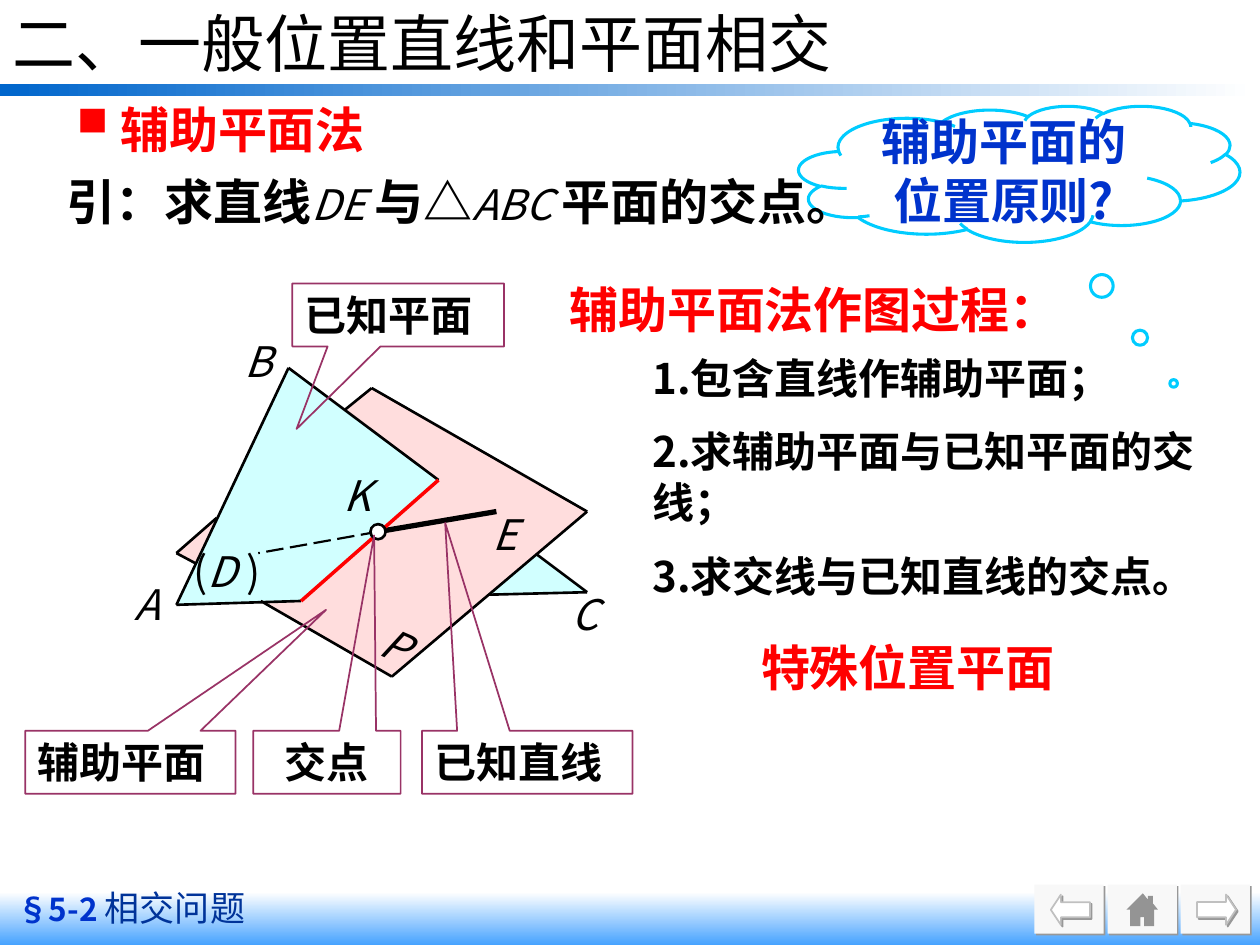
from lxml import etree
from pptx import Presentation
from pptx.dml.color import RGBColor
from pptx.enum.dml import MSO_LINE
from pptx.enum.shapes import MSO_CONNECTOR, MSO_SHAPE
from pptx.enum.text import MSO_ANCHOR, PP_ALIGN
from pptx.oxml.ns import qn
from pptx.util import Inches, Pt

LEFT, CENTER = PP_ALIGN.LEFT, PP_ALIGN.CENTER
TOP, MIDDLE = MSO_ANCHOR.TOP, MSO_ANCHOR.MIDDLE
RECT, OVAL, ARROW = MSO_SHAPE.RECTANGLE, MSO_SHAPE.OVAL, MSO_SHAPE.RIGHT_ARROW
CALLOUT, CLOUD = MSO_SHAPE.RECTANGULAR_CALLOUT, MSO_SHAPE.CLOUD_CALLOUT
STRAIGHT, LONG_DASH = MSO_CONNECTOR.STRAIGHT, MSO_LINE.LONG_DASH

THEME = {
    "black": "000000", "white": "FFFFFF", "red": "FF0000", "blue": "0033CC",
    "navy": "003399", "bar": "0066CC", "sky": "47A3FF", "cyan": "00CCFF",
    "plum": "993366", "plane_abc": "D1FFFF", "plane_p": "FFDDDD",
    "button": "F8F8F8", "edge": "C0C0C0", "shade": "989898", "house": "949494",
    "sans": "Noto Sans CJK SC", "italic": "Noto Sans CJK JP",
    "plain": "Roboto", "serif": "Times New Roman",
    "title": 36, "head": 28, "body": 24, "section": 20, "number": 18,
    "line_height": 1.2,
}

# Runs: text, font, size, colour, style (b bold, i italic)
TITLE = [("二、一般位置直线和平面相交", "plain", "title", "black", "")]
FOOTER = [("§5-2 ", "sans", "number", "blue", "b"),
          ("相交问题", "sans", "section", "navy", "")]
METHOD = [("辅助平面法", "sans", "head", "red", "b")]
PROBLEM = [("引：求", "sans", "head", "black", "b"),
           ("直线", "plain", "head", "black", "b"),
           ("DE ", "italic", "body", "black", "i"),
           ("与△", "plain", "head", "black", "b"),
           ("ABC ", "italic", "body", "black", "i"),
           ("平面的交点", "plain", "head", "black", "b"),
           ("。", "sans", "head", "black", "b")]
PROCESS = [("辅助平面法作图过程：", "sans", "head", "red", "b")]
ANSWER = [("特殊位置平面", "sans", "head", "red", "b")]
QUESTION = [("辅助平面的位置原则?", "sans", "head", "blue", "b")]
POINT_D = [("(", "sans", "body", "black", ""), ("D ", "italic", "body", "black", "i"),
           (")", "sans", "body", "black", "")]
STEPS = [(2.75, 0.5, "1.包含直线作辅助平面；"),
         (3.33, 0.9, "2.求辅助平面与已知平面的交线；"),
         (4.32, 0.5, "3.求交线与已知直线的交点。")]
# Callouts: text, left, top, width, pointer, alignment
CALLOUTS = [("已知平面", 2.32, 2.25, 1.68, (-0.48, 1.81), LEFT),
            ("已知直线", 3.35, 5.8, 1.67, (-0.39, -3.8), LEFT),
            ("辅助平面", 0.2, 5.8, 1.67, (0.93, -2.42), LEFT),
            ("交点", 2.01, 5.8, 1.17, (0.32, -3.6), CENTER)]
# Point names: text, left, top, width, rotation
NAMES = [("K", 2.63, 3.68, 0.55, 0), ("A", 0.97, 4.54, 0.47, 0),
         ("C", 4.44, 4.62, 0.55, 0), ("B", 1.84, 2.61, 0.55, 0),
         ("P", 2.94, 4.86, 0.39, 23.6), ("E", 3.81, 3.99, 0.55, 0)]

# Corners of the two planes and where their edges meet
A, B, C = (1.4, 4.8), (2.29, 2.92), (4.66, 4.7)
D, E, K = (2.05, 4.39), (3.94, 4.06), (3, 4.22)
P_TOP, P_RIGHT, P_BOTTOM, P_LEFT = (2.95, 3.08), (4.66, 4.06), (3.11, 5.37), (1.4, 4.39)
CUT_AC, CUT_BC = (2.39, 4.77), (3.48, 3.81)
P_ON_BC, P_ON_AC = (2.74, 3.25), (2.07, 4.77)
P_BACK, P_FRONT = (1.72, 4.11), (1.55, 4.47)
C_LOW, C_HIGH = (3.88, 4.72), (4.26, 4.4)
PLANES = [("plane_abc", [A, B, C]),
          ("plane_p", [P_TOP, P_RIGHT, P_BOTTOM, P_ON_AC, CUT_AC, CUT_BC, P_ON_BC]),
          ("plane_p", [P_BACK, P_LEFT, P_FRONT])]
EDGES = [(A, B), (A, CUT_AC), (B, CUT_BC), (P_TOP, P_ON_BC), (P_LEFT, P_FRONT),
         (P_TOP, P_RIGHT), (P_RIGHT, P_BOTTOM), (C_LOW, C), (C_HIGH, C),
         (P_ON_AC, P_BOTTOM), (P_BACK, P_LEFT)]
HOUSE = [(9.07, 7.09), (9.11, 7.14), (9.11, 7.11), (9.15, 7.11), (9.15, 7.17),
         (9.19, 7.22), (9.16, 7.22), (9.16, 7.35), (9.08, 7.35), (9.08, 7.28),
         (9.05, 7.28), (9.05, 7.35), (8.97, 7.35), (8.97, 7.22), (8.94, 7.22)]

deck = Presentation()
deck.slide_width, deck.slide_height = Inches(10), Inches(7.5)
page = deck.slides.add_slide(deck.slide_layouts[6])


def color(name):
    return RGBColor.from_string(THEME[name])


def paint(shape, fill=None, line=None, width=1):
    shape.shadow.inherit = False
    if fill:
        shape.fill.solid()
        shape.fill.fore_color.rgb = color(fill)
    else:
        shape.fill.background()
    if line:
        shape.line.color.rgb = color(line)
        shape.line.width = Pt(width)
    else:
        shape.line.fill.background()
    return shape


def add_preset(kind, at, fill=None, line=None, width=1, adjust=()):
    shape = page.shapes.add_shape(kind, *map(Inches, at))
    for index, value in enumerate(adjust):
        shape.adjustments[index] = value
    return paint(shape, fill, line, width)


def add_polygon(points, fill):
    corners = [(Inches(x), Inches(y)) for x, y in points]
    builder = page.shapes.build_freeform(*corners[0])
    builder.add_line_segments(corners[1:], close=True)
    return paint(builder.convert_to_shape(), fill)


def add_line(start, end, name="black", width=1.5, dash=None):
    line = page.shapes.add_connector(STRAIGHT, *map(Inches, (*start, *end)))
    line.line.color.rgb = color(name)
    line.line.width = Pt(width)
    if dash:
        line.line.dash_style = dash
    etree.SubElement(line._element.spPr, qn("a:effectLst"))


def add_gradient(at, first, last, angle):
    fill = add_preset(RECT, at).fill
    fill.gradient()
    fill.gradient_angle = angle
    for stop, name, position in zip(fill.gradient_stops, (first, last), (0, 1)):
        stop.color.rgb = color(name)
        stop.position = position


def add_shadow(shape, name):
    effects = shape._element.spPr.find(qn("a:effectLst"))
    shadow = etree.SubElement(effects, qn("a:outerShdw"), dist=str(Pt(1.4)), dir="2700000")
    etree.SubElement(shadow, qn("a:srgbClr"), val=THEME[name])


def write(shape, runs, align=LEFT, anchor=TOP):
    frame = shape.text_frame
    frame.word_wrap = True
    frame.vertical_anchor = anchor
    frame.margin_left = frame.margin_right = Inches(0.1)
    frame.margin_top = frame.margin_bottom = Inches(0.05)
    para = frame.paragraphs[0]
    para.alignment = align
    para.line_spacing = Pt(THEME["line_height"] * max(THEME[run[2]] for run in runs))
    for text, face, size, name, style in runs:
        span = para.add_run()
        span.text = text
        font = span.font
        font.name, font.size = THEME[face], Pt(THEME[size])
        font.bold, font.italic = "b" in style, "i" in style
        font.color.rgb = color(name)
        east = etree.SubElement(span._r.get_or_add_rPr(), qn("a:ea"))
        east.set("typeface", THEME["sans"])
    return para


def add_text(at, runs, align=LEFT, anchor=TOP, turn=0):
    box = page.shapes.add_textbox(*map(Inches, at))
    box.rotation = turn
    return write(box, runs, align, anchor)


# Title rule and footer band
add_gradient((0, 0.67, 9.96, 0.09), "bar", "white", 0)
add_gradient((0, 7.08, 10, 0.42), "white", "sky", 270)
add_text((0.04, 6.99, 4.67, 0.44), FOOTER)

# Intersecting planes with the line DE
for fill, points in PLANES:
    add_polygon(points, fill)
for start, end in EDGES:
    add_line(start, end)
for name, left, top, width, turn in NAMES:
    add_text((left, top, width, 0.5), [(name, "italic", "body", "black", "i")], turn=turn)
add_text((1.44, 4.28, 0.87, 0.5), POINT_D)
add_line(K, D, width=1.25, dash=LONG_DASH)
add_line(E, K, width=3)
add_line(CUT_AC, CUT_BC, "red", 2)
add_preset(OVAL, (K[0] - 0.06, K[1] - 0.06, 0.12, 0.12), "white", "black", 1.5)

# Title, callouts and the question cloud
add_text((0, 0, 8.5, 0.67), TITLE, anchor=MIDDLE)
for text, left, top, width, pointer, align in CALLOUTS:
    callout = add_preset(CALLOUT, (left, top, width, 0.5), line="plum", adjust=pointer)
    write(callout, [(text, "serif", "body", "black", "b")], align)
cloud = add_preset(CLOUD, (6.34, 0.84, 3.5, 1.08), line="cyan", width=1.75,
                   adjust=(0.35, 1.54))
write(cloud, QUESTION, CENTER, MIDDLE)

# Method, problem and solution steps
method = add_text((0.42, 0.74, 9.17, 0.57), METHOD)
properties = method._p.get_or_add_pPr()
properties.set("marL", str(Inches(0.32)))
properties.set("indent", str(-Inches(0.32)))
bullet_color = etree.SubElement(properties, qn("a:buClr"))
etree.SubElement(bullet_color, qn("a:srgbClr"), val=THEME["red"])
etree.SubElement(properties, qn("a:buSzPct"), val="150000")
etree.SubElement(properties, qn("a:buChar"), char="▪")
add_text((0.43, 1.31, 9.17, 0.57), PROBLEM)
add_text((4.42, 2.17, 5, 0.57), PROCESS)
for top, height, text in STEPS:
    add_text((5.08, top, 4.67, height), [(text, "sans", "body", "black", "b")])
add_text((5.63, 5.01, 3.15, 0.57), ANSWER, CENTER)

# Navigation buttons: back, home, forward
for index, turn in enumerate((180, None, 0)):
    left = 8.21 + 0.58 * index
    add_shadow(add_preset(RECT, (left, 7.02, 0.55, 0.39), "button"), "shade")
    if turn is None:
        add_polygon(HOUSE, "house")
    else:
        arrow = add_preset(ARROW, (left + 0.13, 7.1, 0.31, 0.24), "white", "edge",
                           adjust=(0.5, 0.33))
        arrow.rotation = turn
        add_shadow(arrow, "shade")

deck.save("out.pptx")
